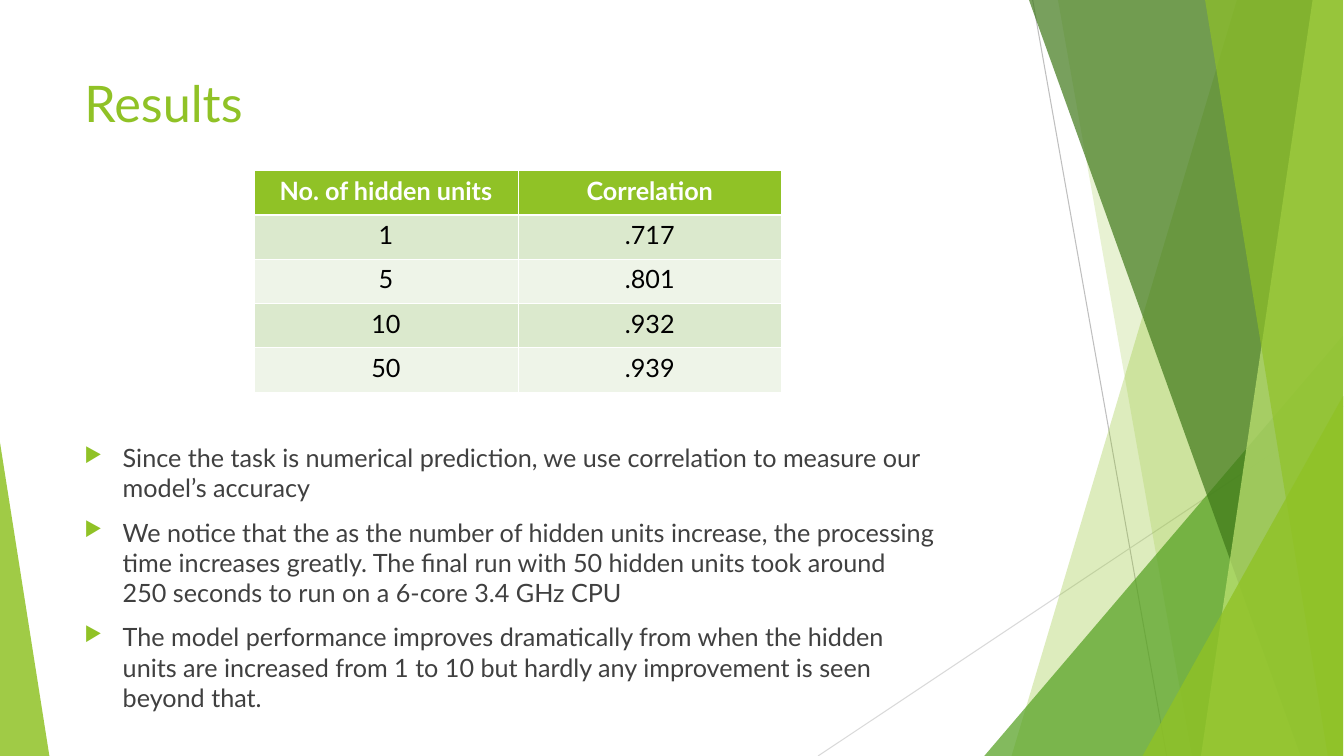
import pptx
import pptx.util
import pptx.dml.color
import pptx.enum.shapes
import pptx.enum.text
import pptx.oxml
import pptx.oxml.ns
from pptx.util import Inches

LIME = "90C226"
WHITE = "FFFFFF"
RIGHT, FOOT = 13.33, 7.5
SPACE = pptx.oxml.ns.nsdecls("a")

# Back to front: top-left x, bottom-left x, colour, opacity in percent
BACK_SHARDS = [(12.28, 10.04, LIME, 30), (10.5, 11.83, LIME, 20)]
FRONT_SHARDS = [
    (10.21, 12.91, "3F7819", 70),
    (13.03, 11.92, "C0E474", 70),
    (11.96, 13.18, LIME, 65),
]
ROWS = [
    ("No. of hidden units", "Correlation"),
    ("1", ".717"),
    ("5", ".801"),
    ("10", ".932"),
    ("50", ".939"),
]
POINTS = [
    "Since the task is numerical prediction, we use correlation to measure our model’s accuracy",
    "We notice that the as the number of hidden units increase, the processing time increases "
    "greatly. The final run with 50 hidden units took around 250 seconds to run on a 6-core "
    "3.4 GHz CPU",
    "The model performance improves dramatically from when the hidden units are increased "
    "from 1 to 10 but hardly any improvement is seen beyond that.",
]


def colour(code):
    return pptx.dml.color.RGBColor.from_string(code)


def apply(target, values):
    for name, value in values.items():
        setattr(target, name, value)


def paint(shape, code, alpha):
    """Fill a shape with a see-through colour, without line or shadow."""
    shape.shadow.inherit = False
    shape.line.fill.background()
    shape.fill.solid()
    shape.fill.fore_color.rgb = colour(code)
    tone = shape.fill._xPr.find(".//" + pptx.oxml.ns.qn("a:srgbClr"))
    tone.append(pptx.oxml.parse_xml(f'<a:alpha {SPACE} val="{alpha * 1000}"/>'))


def add_line(slide, start, end, code):
    line = slide.shapes.add_connector(
        pptx.enum.shapes.MSO_CONNECTOR.STRAIGHT, *map(Inches, start + end))
    line.line.color.rgb = colour(code)
    line.line.width = pptx.util.Pt(0.75)
    line._element.spPr.append(pptx.oxml.parse_xml(f"<a:effectLst {SPACE}/>"))


def add_shard(slide, top, foot, code, alpha):
    """Draw a full-height panel with a slanted left edge, flush right."""
    spots = [(top, -0.01), (RIGHT, -0.01), (RIGHT, FOOT), (foot, FOOT)]
    spots = [(Inches(x), Inches(y)) for x, y in spots]
    maker = slide.shapes.build_freeform(*spots[0])
    maker.add_line_segments(spots[1:], close=True)
    paint(maker.convert_to_shape(), code, alpha)


def add_wedge(slide, left, top, width, peak, code, alpha):
    """Draw a right triangle standing on the bottom edge; peak is 0 or 1."""
    wedge = slide.shapes.add_shape(
        pptx.enum.shapes.MSO_SHAPE.ISOSCELES_TRIANGLE,
        Inches(left), Inches(top), Inches(width), Inches(FOOT - top))
    wedge.adjustments[0] = peak
    paint(wedge, code, alpha)


def write(par, text, size, code, bold=False):
    run = par.add_run()
    run.text = text
    apply(run.font, {"name": "Lato", "size": pptx.util.Pt(size), "bold": bold})
    run.font.color.rgb = colour(code)


def add_box(slide, *place):
    frame = slide.shapes.add_textbox(*map(Inches, place)).text_frame
    apply(frame, {"word_wrap": True,
                  "vertical_anchor": pptx.enum.text.MSO_ANCHOR.TOP})
    return frame


def add_points(slide, texts):
    frame = add_box(slide, 0.74, 4.34, 8.64, 2.9)
    for spot, text in enumerate(texts):
        par = frame.add_paragraph() if spot else frame.paragraphs[0]
        par.space_before = pptx.util.Pt(10)
        write(par, text, 18, "404040")
        props = par._p.get_or_add_pPr()
        props.set("marL", str(Inches(0.38)))
        props.set("indent", str(-Inches(0.38)))
        for part in (f'<a:buClr {SPACE}><a:srgbClr val="{LIME}"/></a:buClr>',
                     f'<a:buSzPct {SPACE} val="80000"/>',
                     f'<a:buChar {SPACE} char="▶"/>'):
            props.append(pptx.oxml.parse_xml(part))


def edge(cell, widths):
    """Give a cell white borders; widths in points by side letter."""
    props = cell._tc.get_or_add_tcPr()
    for spot, (side, width) in enumerate(widths.items()):
        props.insert(spot, pptx.oxml.parse_xml(
            f'<a:ln{side} {SPACE} w="{pptx.util.Pt(width)}"><a:solidFill>'
            f'<a:srgbClr val="{WHITE}"/></a:solidFill></a:ln{side}>'))


def add_grid(slide, rows):
    high = 0.44
    grid = slide.shapes.add_table(
        len(rows), len(rows[0]), Inches(2.52), Inches(1.69),
        Inches(5.24), Inches(high * len(rows))).table
    for i, row in enumerate(rows):
        head = i == 0
        fill = LIME if head else ("DBE9CD" if i % 2 else "EEF4E8")
        for j, text in enumerate(row):
            cell = grid.cell(i, j)
            cell.fill.solid()
            cell.fill.fore_color.rgb = colour(fill)
            edge(cell, {"L": 0.45, "R": 0.45,
                        "T": 1.47 if i == 1 else 0.45,
                        "B": 1.47 if head else 0.45})
            par = cell.text_frame.paragraphs[0]
            par.alignment = pptx.enum.text.PP_ALIGN.CENTER
            write(par, text, 18, WHITE if head else "000000", head)


def main():
    deck = pptx.Presentation()
    apply(deck, {"slide_width": Inches(13.34), "slide_height": Inches(7.5)})
    slide = deck.slides.add_slide(deck.slide_layouts[6])

    add_line(slide, (10.25, 0), (11.58, FOOT), "BFBFBF")
    add_line(slide, (RIGHT, 4.03), (8.12, FOOT), "D9D9D9")
    for shard in BACK_SHARDS:
        add_shard(slide, *shard)
    add_wedge(slide, 9.77, 3.33, 3.56, 1, "54A021", 72)
    for shard in FRONT_SHARDS:
        add_shard(slide, *shard)
    add_wedge(slide, 11.34, 3.93, 1.99, 1, LIME, 80)
    add_wedge(slide, 0, 4.39, 0.49, 0, LIME, 85)

    title = add_box(slide, 0.74, 0.67, 9.4, 1.44)
    write(title.paragraphs[0], "Results", 36, LIME)
    add_points(slide, POINTS)
    add_grid(slide, ROWS)
    deck.save("out.pptx")


if __name__ == "__main__":
    main()
